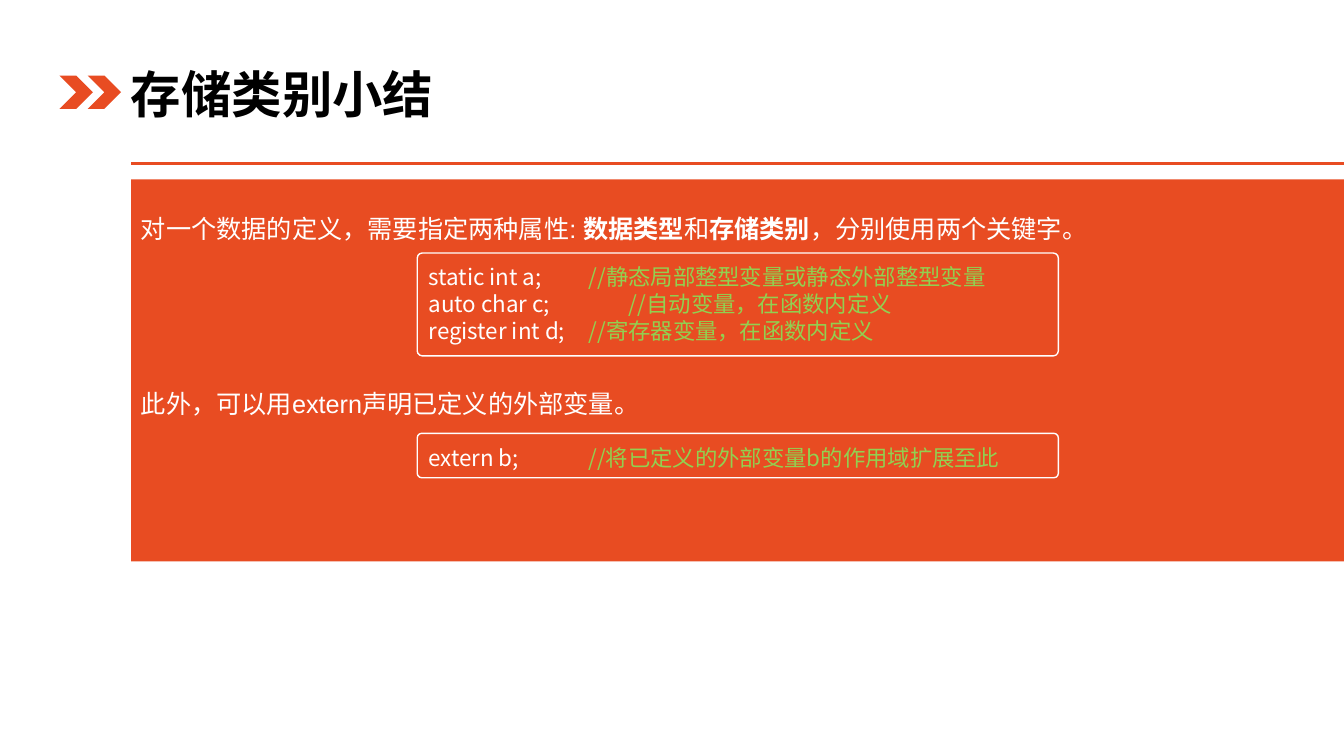
from pptx import Presentation
from pptx import util as u
from pptx.dml.color import RGBColor
from pptx.enum import shapes, text
from pptx.oxml.ns import qn
from lxml import etree

THEME = {
    "accent": "E84C22", "ink": "000000", "light": "FFFFFF", "comment": "92D050",
    "latin": "Arial", "cjk": "Noto Sans CJK SC",
    "title": 36, "body": 18, "code": 16,
}

prs = Presentation()
prs.slide_width, prs.slide_height = u.Inches(13.333), u.Inches(7.5)
s = prs.slides.add_slide(prs.slide_layouts[6])

# Grid of 100 columns by 100 rows
COL, ROW = prs.slide_width / 100, prs.slide_height / 100
MARGIN = 9.75
MS = shapes.MSO_SHAPE


def add_box(kind, x, y, w, h, fill=None, line=None):
    sp = s.shapes.add_shape(kind, *map(int, (x * COL, y * ROW, w * COL, h * ROW)))
    sp.shadow.inherit = False
    if fill:
        sp.fill.solid()
        sp.fill.fore_color.rgb = RGBColor.from_string(THEME[fill])
    else:
        sp.fill.background()
    if line:
        sp.line.color.rgb = RGBColor.from_string(THEME[line])
        sp.line.width = u.Pt(1)
    else:
        sp.line.fill.background()
    sp.text_frame.word_wrap = True
    sp.text_frame.vertical_anchor = text.MSO_ANCHOR.TOP
    return sp


def add_run(p, words, size, color, latin="cjk", bold=False):
    p.alignment = text.PP_ALIGN.LEFT
    r = p.add_run()
    r.text = words
    r.font.size = u.Pt(THEME[size])
    r.font.bold = bold
    r.font.name = THEME[latin]
    r.font.color.rgb = RGBColor.from_string(THEME[color])
    ea = etree.Element(qn("a:ea"), typeface=THEME["cjk"])
    r.font._element.find(qn("a:latin")).addnext(ea)


# Rule under the title
rule = s.shapes.add_connector(shapes.MSO_CONNECTOR.STRAIGHT, int(MARGIN * COL),
                              int(21.6 * ROW), prs.slide_width, int(21.6 * ROW))
rule.line.color.rgb = RGBColor.from_string(THEME["accent"])
rule.line.width = u.Pt(2.25)
etree.SubElement(rule._element.spPr, qn("a:effectLst"))

# Panel with the two statements
panel = add_box(MS.RECTANGLE, MARGIN, 23.73, 100 - MARGIN, 50.53, fill="accent")
tf = panel.text_frame
tf.margin_top = int(4.5 * ROW)
p = tf.paragraphs[0]
for words, bold in [("对一个数据的定义，需要指定两种属性: ", False), ("数据类型", True),
                    ("和", False), ("存储类别", True),
                    ("，分别使用两个关键字。", False)]:
    add_run(p, words, "body", "light", "latin", bold)
p = tf.add_paragraph()
p.space_before = u.Pt(103.5)
add_run(p, "此外，可以用extern声明已定义的外部变量。", "body", "light", "latin")

# Title
title = s.shapes.add_textbox(*map(int, (9 * COL, 7.07 * ROW, 44.55 * COL, 10.53 * ROW)))
tf = title.text_frame
tf.word_wrap = True
tf.vertical_anchor = text.MSO_ANCHOR.MIDDLE
add_run(tf.paragraphs[0], "存储类别小结", "title", "ink", bold=True)

# Double chevron
for i in range(2):
    add_box(MS.CHEVRON, 4.43 + 2.1 * i, 10, 2.48, 4.4, fill="accent")

# Code boxes: top row, height, corner, lines of (code, comment, tab column)
code_boxes = [
    (33.47, 13.6, 0.049, [
        ("static int a;", "//静态局部整型变量或静态外部整型变量", 11.9),
        ("auto char c;", "//自动变量，在函数内定义", 14.9),
        ("register int d;", "//寄存器变量，在函数内定义", 11.9)]),
    (57.33, 5.87, 0.099, [
        ("extern b;", "//将已定义的外部变量b的作用域扩展至此", 11.9)]),
]
for top, height, corner, lines in code_boxes:
    sp = add_box(MS.ROUNDED_RECTANGLE, 31.05, top, 47.7, height, line="light")
    sp.adjustments[0] = corner
    tf = sp.text_frame
    tf.margin_top = int(1.2 * ROW)
    tf.margin_bottom = 0
    for i, (code, comment, tab) in enumerate(lines):
        p = tf.add_paragraph() if i else tf.paragraphs[0]
        tabs = etree.SubElement(p._p.get_or_add_pPr(), qn("a:tabLst"))
        etree.SubElement(tabs, qn("a:tab"), pos=str(int(tab * COL)), algn="l")
        add_run(p, code + "\t", "code", "light")
        add_run(p, comment, "code", "comment")

prs.save("out.pptx")
